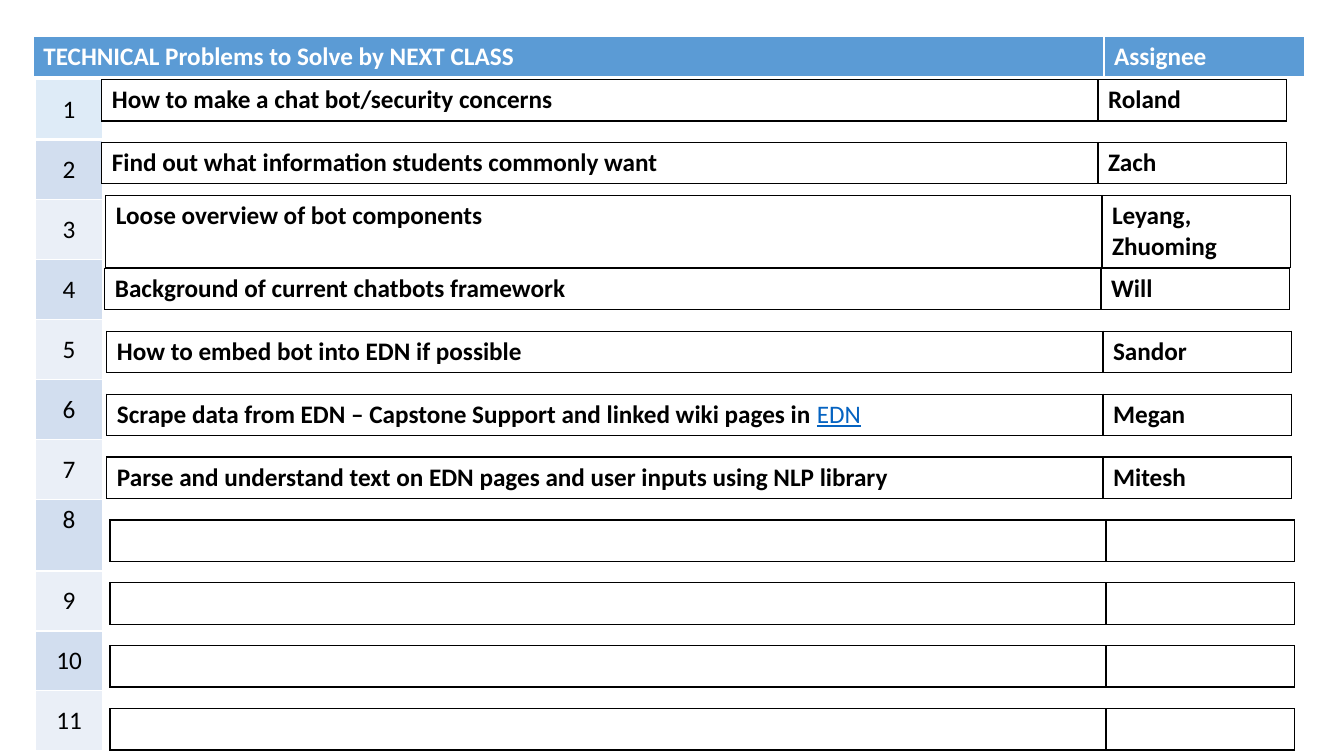
from lxml import etree
from pptx import Presentation
from pptx import util as u
from pptx.dml.color import RGBColor
from pptx.enum import text
from pptx.oxml import ns

HUES = {
    "white": "FFFFFF", "black": "000000", "head": "5B9BD5", "link": "0563C1",
    "first": "DEEBF7", "odd": "EAEFF7", "even": "D2DEEF",
}

# Left edge, task, link text, assignee
TASKS = [
    (1.01, "How to make a chat bot/security concerns", "", "Roland"),
    (1.01, "Find out what information students commonly want", "", "Zach"),
    (1.05, "Loose overview of bot components", "", "Leyang, Zhuoming"),
    (1.04, "Background of current chatbots framework", "", "Will"),
    (1.06, "How to embed bot into EDN if possible", "", "Sandor"),
    (1.06, "Scrape data from EDN – Capstone Support and linked wiki pages in ",
     "EDN", "Megan"),
    (1.06, "Parse and understand text on EDN pages and user inputs using NLP library",
     "", "Mitesh"),
] + [(1.09, "", "", "")] * 4
TOP = 0.79
STEP = 6.24 / 10


class Deck:
    def __init__(self):
        self.prs = Presentation()
        self.prs.slide_width = u.Inches(13.33)
        self.prs.slide_height = u.Inches(7.5)
        self.slide = self.prs.slides.add_slide(self.prs.slide_layouts[6])
        self.font = "Calibri"
        self.size = u.Pt(18)

    def hue(self, name):
        return RGBColor.from_string(HUES[name])

    def table(self, left, top, cols, rows):
        frame = self.slide.shapes.add_table(
            len(rows), len(cols), u.Inches(left), u.Inches(top),
            u.Inches(sum(cols)), u.Inches(sum(rows)))
        grid = frame.table
        grid.first_row = grid.horz_banding = False
        for col, width in zip(grid.columns, cols):
            col.width = u.Inches(width)
        for row, height in zip(grid.rows, rows):
            row.height = u.Inches(height)
        return grid

    def border(self, cell, color, base):
        props = cell._tc.get_or_add_tcPr()
        sides = {"lnL": 1, "lnR": 1, "lnT": 1, "lnB": base}
        for spot, (side, width) in enumerate(sides.items()):
            line = etree.Element(ns.qn("a:" + side), w=str(u.Pt(width)))
            fill = etree.SubElement(line, ns.qn("a:solidFill"))
            etree.SubElement(fill, ns.qn("a:srgbClr"), val=HUES[color])
            props.insert(spot, line)

    def cell(self, cell, words, fill, color="black", edge="black", base=1, bold=True):
        cell.fill.solid()
        cell.fill.fore_color.rgb = self.hue(fill)
        self.border(cell, edge, base)
        para = cell.text_frame.paragraphs[0]
        para.font.name = self.font
        para.font.size = self.size
        para.font.bold = bold
        para.font.color.rgb = self.hue(color)
        if words:
            para.add_run().text = words
        return para

    def link(self, para, words):
        run = para.add_run()
        run.text = words
        run.font.bold = False
        run.font.underline = True
        run.font.color.rgb = self.hue("link")

    def header(self, labels):
        grid = self.table(0.33, 0.36, [10.62, 1.99], [0.41])
        for cell, label in zip(grid.rows[0].cells, labels):
            self.cell(cell, label, "head", "white", "white", 3)

    def numbers(self, count, tall):
        rows = [5.95 / (count - 1)] * count
        rows[tall - 1] = 0.71
        grid = self.table(0.35, TOP, [0.67], rows)
        for num in range(1, count + 1):
            cell = grid.cell(num - 1, 0)
            fill = "first" if num == 1 else "odd" if num % 2 else "even"
            para = self.cell(cell, str(num), fill, edge="white",
                             base=3 if num == 1 else 1, bold=False)
            para.alignment = text.PP_ALIGN.CENTER
            anchor = text.MSO_ANCHOR
            cell.vertical_anchor = anchor.TOP if num == tall else anchor.MIDDLE

    def task(self, left, top, words, link, name):
        grid = self.table(left, top, [9.88, 1.87], [0.41])
        para = self.cell(grid.cell(0, 0), words, "white")
        if link:
            self.link(para, link)
        self.cell(grid.cell(0, 1), name, "white")


def main():
    deck = Deck()
    # Heading and number column
    deck.header(["TECHNICAL Problems to Solve by NEXT CLASS", "Assignee"])
    deck.numbers(len(TASKS), tall=8)
    # Task rows; the two-line third row sits higher than the even spacing
    for spot, (left, *words) in enumerate(TASKS):
        top = 1.94 if spot == 2 else TOP + STEP * spot
        deck.task(left, top, *words)
    deck.prs.save("out.pptx")


if __name__ == "__main__":
    main()
